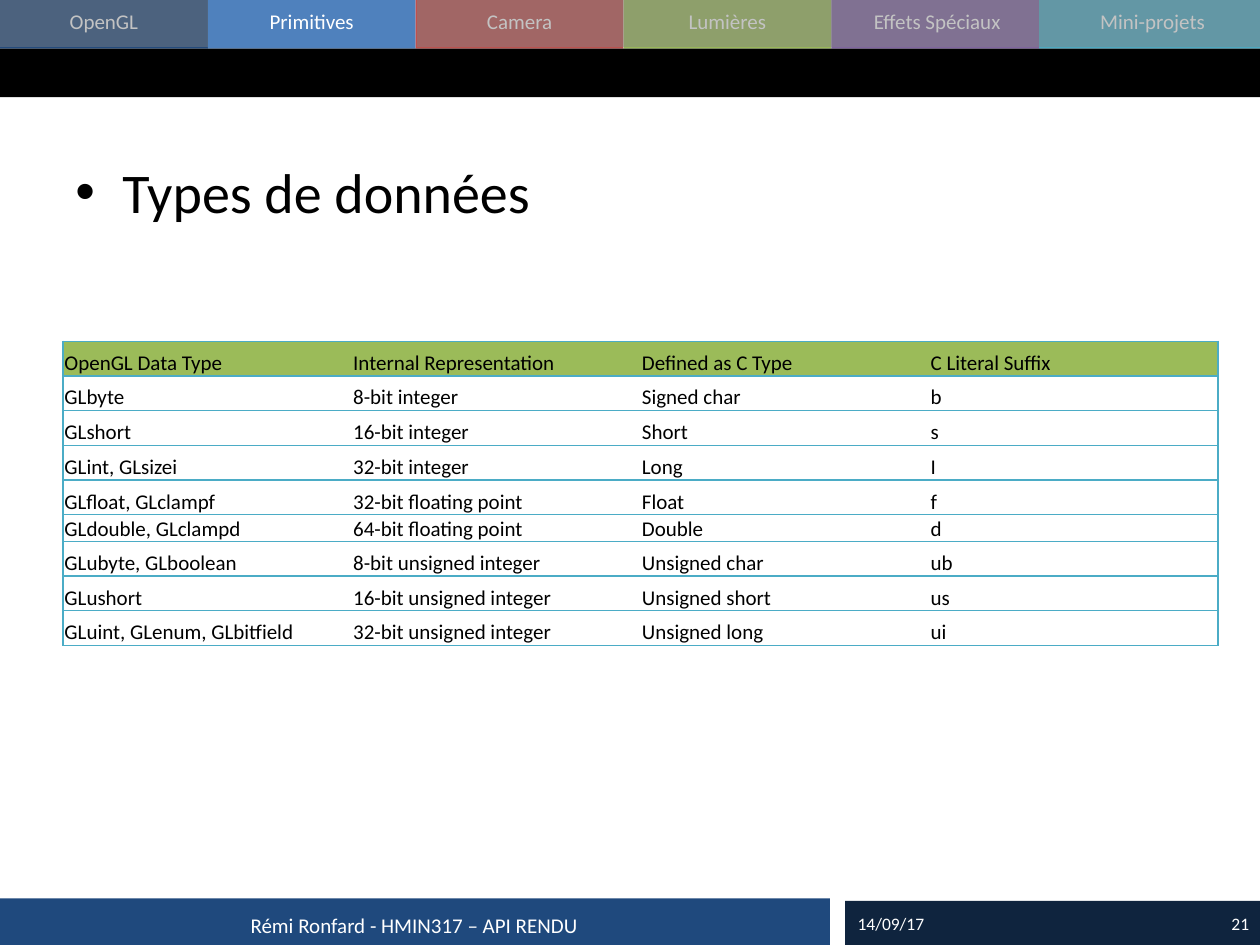
from dataclasses import dataclass
from typing import Any, Optional

from lxml import etree
from pptx import Presentation
from pptx import util as u
from pptx.dml.color import RGBColor
from pptx.enum import shapes, text
from pptx.oxml import ns

WHITE = RGBColor(0xFF, 0xFF, 0xFF)
BLACK = RGBColor(0x00, 0x00, 0x00)
GRAY = RGBColor(0x80, 0x80, 0x80)
NAVY = RGBColor(0x1F, 0x49, 0x7D)
DARK_NAVY = RGBColor(0x0F, 0x24, 0x3E)
BLUE = RGBColor(0x4F, 0x81, 0xBD)
RED = RGBColor(0xC0, 0x50, 0x4D)
GREEN = RGBColor(0x9B, 0xBB, 0x59)
PURPLE = RGBColor(0x80, 0x64, 0xA2)
TEAL = RGBColor(0x4B, 0xAC, 0xC6)

FONT = "Calibri"
TAB_W, BAR_H = 4.19, 0.98


@dataclass
class Box:
    x: float
    y: float
    w: float
    h: float

    def emu(self) -> list[u.Cm]:
        return [u.Cm(v) for v in (self.x, self.y, self.w, self.h)]


@dataclass
class Tab:
    label: str
    color: RGBColor
    width: float = TAB_W
    label_width: float = TAB_W


@dataclass
class Label:
    text: str
    box: Box
    size: float
    align: text.PP_ALIGN
    anchor: text.MSO_ANCHOR = text.MSO_ANCHOR.MIDDLE
    color: RGBColor = WHITE


TABS = [
    Tab("OpenGL", NAVY),
    Tab("Primitives", BLUE),
    Tab("Camera", RED),
    Tab("Lumières", GREEN),
    Tab("Effets Spéciaux", PURPLE, label_width=4.27),
    Tab("Mini-projets", TEAL, 4.52, 4.57),
]
BARS = [
    (Box(0, BAR_H, 25.5, BAR_H), BLACK),
    (Box(-0.03, 18.11, 16.76, 0.97), NAVY),
    (Box(17.04, 18.16, 8.41, 0.97), DARK_NAVY),
]
SHADES = [Box(8.41, -0.03, 17.09, BAR_H), Box(0, -0.03, TAB_W, BAR_H)]
FOOTER = [
    Label("Rémi Ronfard - HMIN317 – API RENDU", Box(-0.03, 18.16, 16.76, 0.97),
          12, text.PP_ALIGN.CENTER),
    Label("21", Box(19.51, 18.14, 5.92, 0.94), 10, text.PP_ALIGN.RIGHT),
    Label("14/09/17", Box(17.04, 18.14, 2.49, 0.97), 10, text.PP_ALIGN.LEFT),
]
HEADING = Label("Types de données", Box(1.27, 3.05, 22.86, 13.97), 32,
                text.PP_ALIGN.LEFT, text.MSO_ANCHOR.TOP, BLACK)
DATA_TYPES = [
    ("OpenGL Data Type", "Internal Representation", "Defined as C Type", "C Literal Suffix"),
    ("GLbyte", "8-bit integer", "Signed char", "b"),
    ("GLshort", "16-bit integer", "Short", "s"),
    ("GLint, GLsizei", "32-bit integer", "Long", "I"),
    ("GLfloat, GLclampf", "32-bit floating point", "Float", "f"),
    ("GLdouble, GLclampd", "64-bit floating point", "Double", "d"),
    ("GLubyte, GLboolean", "8-bit unsigned integer", "Unsigned char", "ub"),
    ("GLushort", "16-bit unsigned integer", "Unsigned short", "us"),
    ("GLuint, GLenum, GLbitfield", "32-bit unsigned integer", "Unsigned long", "ui"),
]
ROW_H, SHORT_ROW, SHORT_ROW_H = 0.7, 5, 0.25
CELL_FORMAT = {
    "margin_left": u.Cm(0.03),
    "margin_top": u.Cm(0.03),
    "margin_right": u.Cm(0.03),
    "margin_bottom": u.Cm(0),
    "vertical_anchor": text.MSO_ANCHOR.BOTTOM,
}


def apply(target: Any, values: dict[str, Any]) -> None:
    for name, value in values.items():
        setattr(target, name, value)


def add_run(p: Any, content: str, size: float, color: RGBColor) -> None:
    r = p.add_run()
    r.text = content
    apply(r.font, {"name": FONT, "size": u.Pt(size)})
    r.font.color.rgb = color


def add_bar(s: Any, box: Box, color: RGBColor, alpha: Optional[int] = None) -> None:
    sp = s.shapes.add_shape(shapes.MSO_SHAPE.RECTANGLE, *box.emu())
    sp.shadow.inherit = False
    sp.fill.solid()
    sp.fill.fore_color.rgb = color
    sp.line.fill.background()
    if alpha is not None:
        clr = sp.fill._xPr.find(".//" + ns.qn("a:srgbClr"))
        etree.SubElement(clr, ns.qn("a:alpha"), val=str(alpha * 1000))


def add_label(s: Any, label: Label) -> Any:
    tf = s.shapes.add_textbox(*label.box.emu()).text_frame
    apply(tf, {"word_wrap": True, "vertical_anchor": label.anchor})
    p = tf.paragraphs[0]
    p.alignment = label.align
    add_run(p, label.text, label.size, label.color)
    return p


def add_bullet(p: Any) -> None:
    pr = p._p.get_or_add_pPr()
    apply_indent = u.Cm(0.95)
    pr.set("marL", str(apply_indent))
    pr.set("indent", str(-apply_indent))
    before = etree.SubElement(pr, ns.qn("a:spcBef"))
    etree.SubElement(before, ns.qn("a:spcPct"), val="20000")
    etree.SubElement(pr, ns.qn("a:buFont"), typeface="Arial")
    etree.SubElement(pr, ns.qn("a:buChar"), char="•")


def set_border(cell: Any, side: str, color: Optional[RGBColor]) -> None:
    pr = cell._tc.get_or_add_tcPr()
    ln = etree.SubElement(pr, ns.qn(f"a:ln{side}"), w=str(u.Pt(1)))
    if color is None:
        etree.SubElement(ln, ns.qn("a:noFill"))
    else:
        fill = etree.SubElement(ln, ns.qn("a:solidFill"))
        etree.SubElement(fill, ns.qn("a:srgbClr"), val=str(color))


def add_data_table(s: Any, box: Box, rows: list[tuple[str, ...]]) -> None:
    n_cols = len(rows[0])
    table = s.shapes.add_table(len(rows), n_cols, *box.emu()).table
    apply(table, {"first_row": False, "horz_banding": False})
    for col in table.columns:
        col.width = u.Cm(box.w / n_cols)
    for i, values in enumerate(rows):
        table.rows[i].height = u.Cm(SHORT_ROW_H if i == SHORT_ROW else ROW_H)
        for j, value in enumerate(values):
            cell = table.cell(i, j)
            borders = {
                "L": TEAL if j == 0 else None,
                "R": TEAL if j == n_cols - 1 else None,
                "T": TEAL,
                "B": TEAL,
            }
            for side, color in borders.items():
                set_border(cell, side, color)
            apply(cell, CELL_FORMAT)
            cell.fill.solid()
            cell.fill.fore_color.rgb = WHITE if i else GREEN
            add_run(cell.text_frame.paragraphs[0], value, 12, BLACK)


def main() -> None:
    prs = Presentation()
    apply(prs, {"slide_width": u.Cm(25.4), "slide_height": u.Cm(19.05)})
    s = prs.slides.add_slide(prs.slide_layouts[6])
    for i, tab in enumerate(TABS):
        add_bar(s, Box(i * TAB_W, 0, tab.width, BAR_H), tab.color)
    for i, tab in enumerate(TABS):
        add_label(s, Label(tab.label, Box(i * TAB_W, 0.05, tab.label_width, 0.76),
                           12, text.PP_ALIGN.CENTER, text.MSO_ANCHOR.TOP))
    for box, color in BARS:
        add_bar(s, box, color)
    for box in SHADES:
        add_bar(s, box, GRAY, 47)
    for label in FOOTER:
        add_label(s, label)
    add_data_table(s, Box(1.27, 6.88, 23.28, 6.17), DATA_TYPES)
    add_bullet(add_label(s, HEADING))
    prs.save("out.pptx")


if __name__ == "__main__":
    main()
